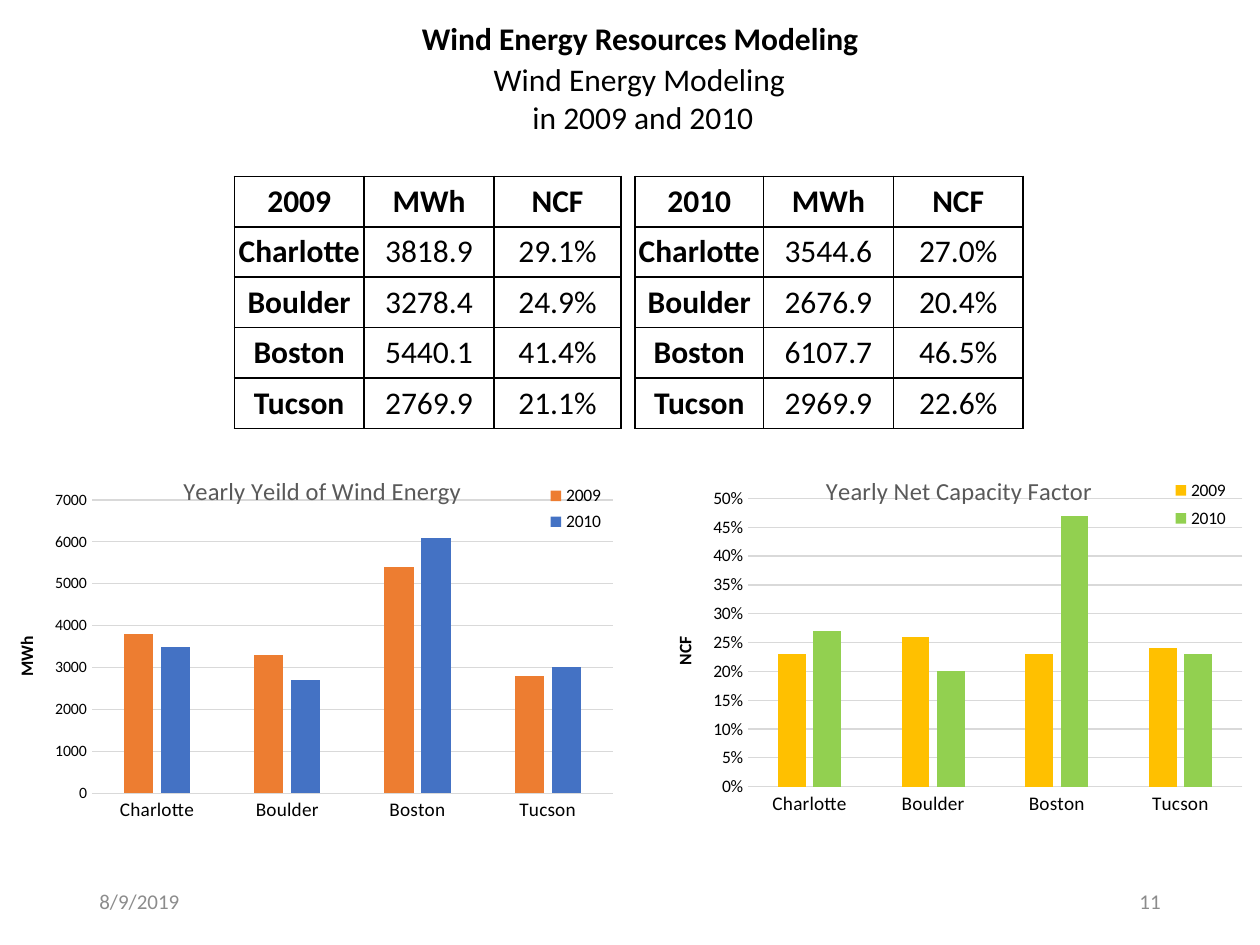
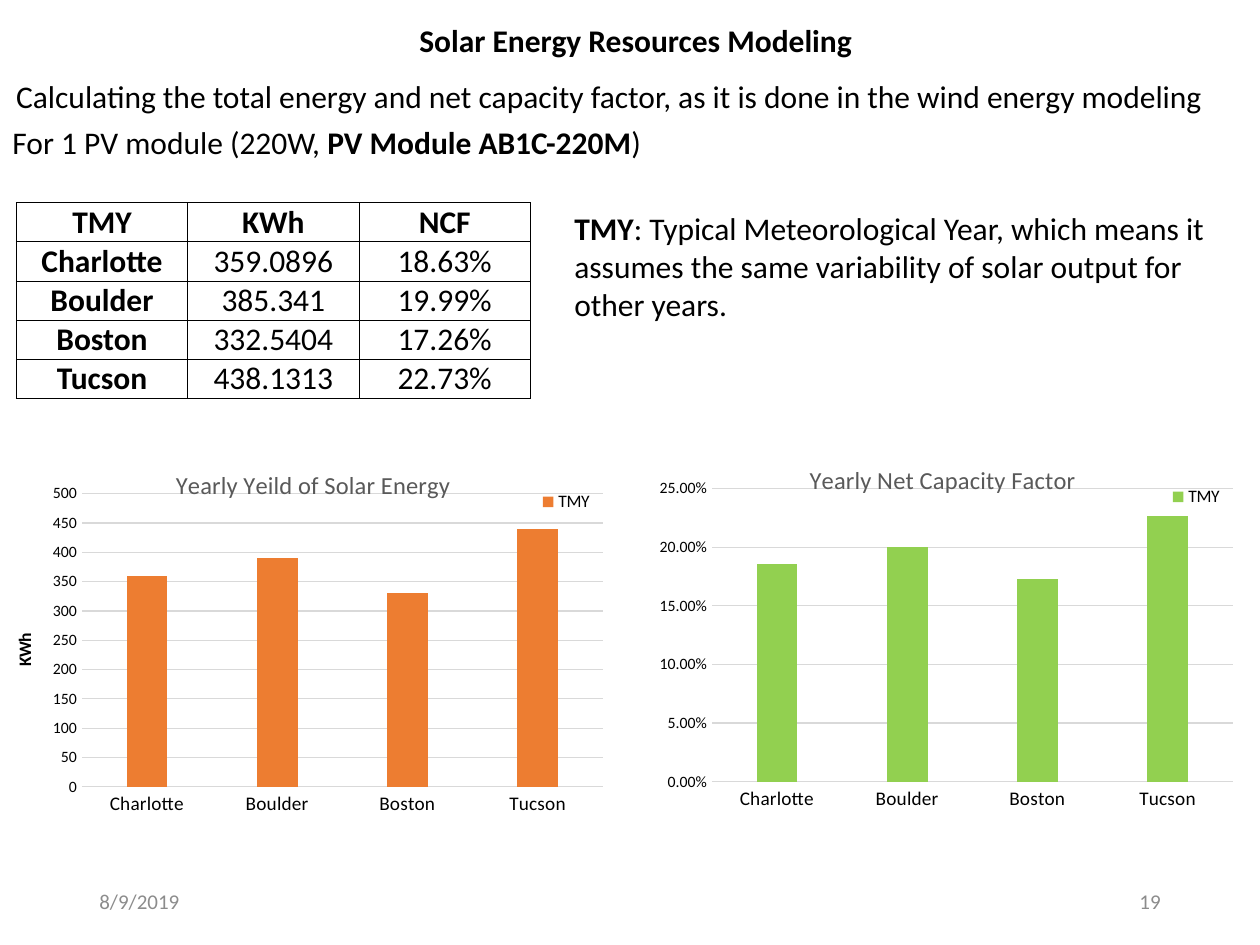
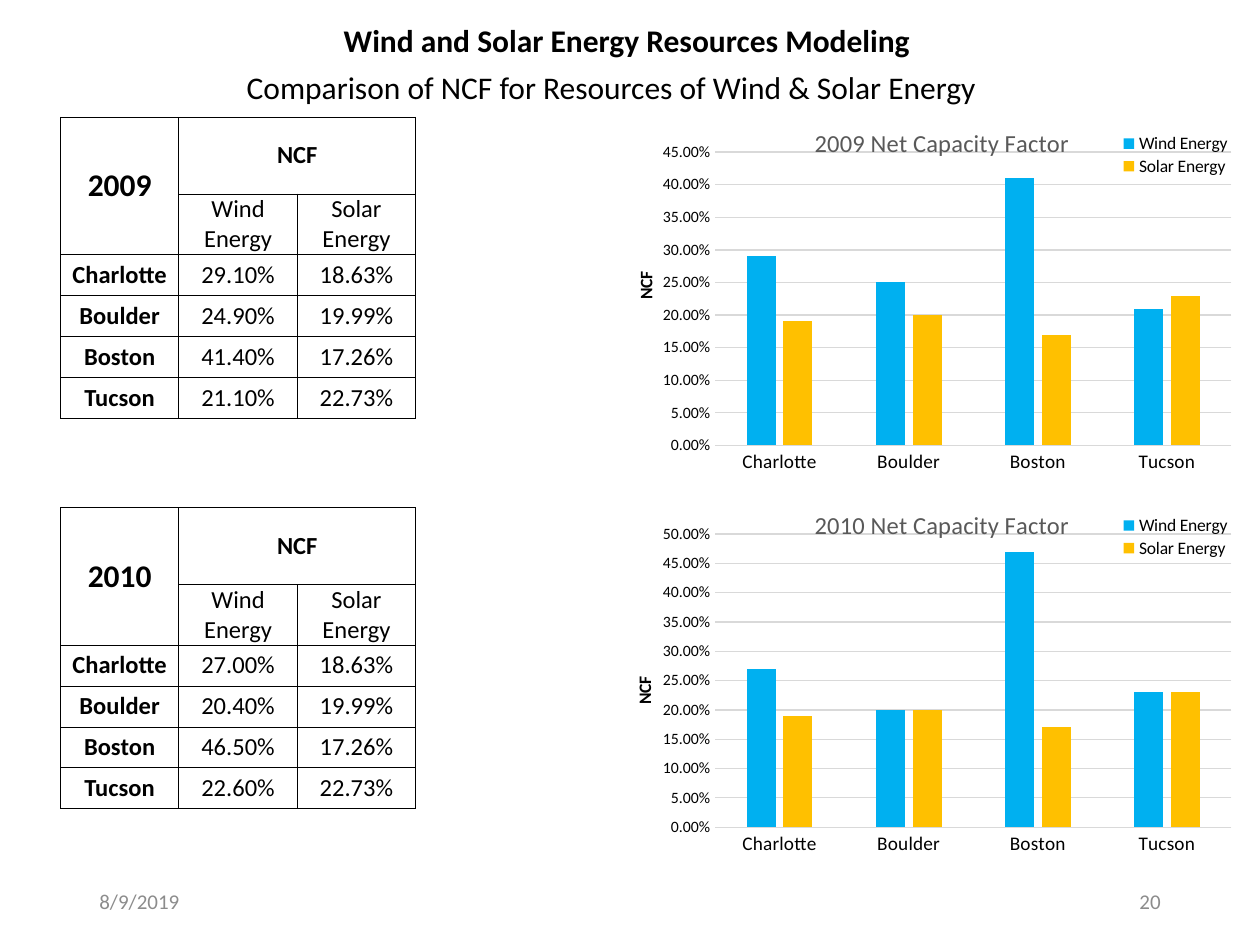
from lxml import etree
from pptx import Presentation
from pptx.chart.data import CategoryChartData
from pptx.dml.color import RGBColor
from pptx.enum import chart as ch, text as tx
from pptx.oxml import ns
from pptx.util import Inches, Pt

BLACK = RGBColor(0, 0, 0)
GREY = RGBColor(0x8C, 0x8C, 0x8C)
DARK = RGBColor(0x59, 0x59, 0x59)
PALE = RGBColor(0xD9, 0xD9, 0xD9)
ORANGE = RGBColor(0xED, 0x7D, 0x31)
BLUE = RGBColor(0x44, 0x72, 0xC4)
GOLD = RGBColor(0xFF, 0xC0, 0x00)
GREEN = RGBColor(0x92, 0xD0, 0x50)
SKY = RGBColor(0x00, 0xB0, 0xF0)
FACE = "Calibri"
LEFT, MID, RIGHT = tx.PP_ALIGN.LEFT, tx.PP_ALIGN.CENTER, tx.PP_ALIGN.RIGHT
CITIES = ["Charlotte", "Boulder", "Boston", "Tucson"]
MWH = {"2009": [3818.9, 3278.4, 5440.1, 2769.9],
       "2010": [3544.6, 2676.9, 6107.7, 2969.9]}
WIND = {"2009": [0.291, 0.249, 0.414, 0.211],
        "2010": [0.27, 0.204, 0.465, 0.226]}
KWH = [359.0896, 385.341, 332.5404, 438.1313]
SOLAR = [0.1863, 0.1999, 0.1726, 0.2273]


def style(font, size, color=BLACK, bold=False):
    font.name, font.size, font.bold = FACE, Pt(size), bold
    font.color.rgb = color


def write(para, words, size=18, color=BLACK, bold=False, align=LEFT):
    para.alignment = align
    run = para.add_run()
    run.text = words
    style(run.font, size, color, bold)


def label(slide, box, words, bold=False, wrap=False):
    frame = slide.shapes.add_textbox(*map(Inches, box)).text_frame
    frame.word_wrap = wrap
    write(frame.paragraphs[0], words, bold=bold)
    return frame


def footer(slide, number):
    for left, words, align in ((7.06, number, RIGHT), (0.69, "8/9/2019", LEFT)):
        box = slide.shapes.add_textbox(*map(Inches, (left, 6.95, 2.25, 0.4)))
        frame = box.text_frame
        frame.word_wrap = True
        frame.vertical_anchor = tx.MSO_ANCHOR.MIDDLE
        write(frame.paragraphs[0], words, 12, GREY, align=align)


def border(cell, width):
    props = cell._tc.get_or_add_tcPr()
    for spot, side in enumerate(("a:lnL", "a:lnR", "a:lnT", "a:lnB")):
        line = etree.Element(ns.qn(side), w=str(Pt(width)))
        fill = etree.SubElement(line, ns.qn("a:solidFill"))
        etree.SubElement(fill, ns.qn("a:srgbClr"), val=str(BLACK))
        props.insert(spot, line)


def grid(slide, left, top, cols, highs, rows, size=18, width=0.5, pad=0):
    box = map(Inches, (left, top, sum(cols), sum(highs)))
    table = slide.shapes.add_table(len(rows), len(cols), *box).table
    table.first_row = table.horz_banding = False
    for col, wide in zip(table.columns, cols):
        col.width = Inches(wide)
    for row, high in zip(table.rows, highs):
        row.height = Inches(high)
    for r, row in enumerate(rows):
        for c, words in enumerate(row):
            cell = table.cell(r, c)
            cell.fill.background()
            cell.vertical_anchor = tx.MSO_ANCHOR.MIDDLE
            cell.margin_left = cell.margin_right = Inches(pad)
            cell.margin_top = cell.margin_bottom = Inches(pad)
            border(cell, width)
            if words:
                big = 18 if r == c == 0 else size
                write(cell.text_frame.paragraphs[0], words, big,
                      bold=r == 0 or c == 0, align=MID)
    return table


def place(node, after, **parts):
    for old in node.findall(ns.qn("c:layout")):
        node.remove(old)
    layout = etree.Element(ns.qn("c:layout"))
    manual = etree.SubElement(layout, ns.qn("c:manualLayout"))
    if after is None:
        etree.SubElement(manual, ns.qn("c:layoutTarget"), val="inner")
    for key in "xy":
        etree.SubElement(manual, ns.qn(f"c:{key}Mode"), val="edge")
    for key, value in parts.items():
        etree.SubElement(manual, ns.qn(f"c:{key}"), val=f"{value:.3f}")
    spot = 0 if after is None else node.index(node.find(ns.qn(after))) + 1
    node.insert(spot, layout)


def bars(slide, left, top, title, series, digits, peak, step, plot, key, start,
         unit=None, form="General", size=9, shift=None):
    wide, high = 5, 3
    data = CategoryChartData()
    data.categories = CITIES
    for name, values, color in series:
        data.add_series(name, [round(value, digits) for value in values])
    chart = slide.shapes.add_chart(
        ch.XL_CHART_TYPE.COLUMN_CLUSTERED,
        *map(Inches, (left, top, wide, high)), data).chart
    style(chart.font, 10)
    write(chart.chart_title.text_frame.paragraphs[0], title, 14, DARK)
    place(chart.chart_title._element, "c:tx", x=start / wide, y=0.035)

    group = chart.plots[0]
    group.gap_width, group.overlap = 219, -27
    group.vary_by_categories = False
    for item, (name, values, color) in zip(group.series, series):
        item.format.fill.solid()
        item.format.fill.fore_color.rgb = color
    x, y, w, h = plot
    place(chart._chartSpace.chart.plotArea, None, x=x, y=y, w=w, h=h)

    for axis, points in ((chart.category_axis, 11), (chart.value_axis, size)):
        axis.major_tick_mark = axis.minor_tick_mark = ch.XL_TICK_MARK.NONE
        style(axis.tick_labels.font, points)
    line = chart.category_axis.format.line
    axis = chart.value_axis
    axis.has_major_gridlines = True
    for rule in (line, axis.major_gridlines.format.line):
        rule.color.rgb, rule.width = PALE, Pt(0.75)
    axis.format.line.fill.background()
    axis.minimum_scale, axis.maximum_scale, axis.major_unit = 0, peak, step
    axis.tick_labels.number_format = form
    axis.tick_labels.number_format_is_linked = False
    if unit:
        write(axis.axis_title.text_frame.paragraphs[0], unit, 10, bold=True)
        if shift:
            x, y = shift
            place(axis.axis_title._element, "c:tx", x=x / wide, y=y / high)

    chart.has_legend = True
    chart.legend.position = ch.XL_LEGEND_POSITION.RIGHT
    chart.legend.include_in_layout = True
    style(chart.legend.font, 10)
    x, y, w, h = key
    place(chart.legend._element, "c:legendPos",
          x=x / wide, y=y / high, w=w / wide, h=h / high)


def wind(slide):
    label(slide, (3.25, 0.1, 3.69, 0.4), "Wind Energy Resources Modeling", True)
    frame = label(slide, (3.82, 0.43, 2.54, 0.71), "Wind Energy Modeling")
    write(frame.add_paragraph(), " in 2009 and 2010", align=MID)
    for year, left, cols in (("2009", 1.86, (1.03, 1.03, 1.01)),
                             ("2010", 5.04, (1.02, 1.03, 1.03))):
        rows = [(year, "MWh", "NCF")]
        rows += [(city, f"{power:.1f}", f"{part:.1%}") for city, power, part
                 in zip(CITIES, MWH[year], WIND[year])]
        grid(slide, left, 1.4, cols, [0.4] * 5, rows, width=1, pad=0.02)
    bars(slide, 5.14, 3.62, "Yearly Net Capacity Factor ",
         [("2009", [0.23, 0.26, 0.23, 0.24], GOLD),
          ("2010", WIND["2010"], GREEN)],
         2, 0.5, 0.05, (0.159, 0.112, 0.785, 0.763), (4.11, 0.13, 0.56, 0.51),
         1.38, "NCF", "0%", 10, (0.18, 1.41))
    bars(slide, 0.09, 3.62, "Yearly Yeild of Wind Energy ",
         [("2009", MWH["2009"], ORANGE), ("2010", MWH["2010"], BLUE)],
         -2, 7000, 1000, (0.128, 0.116, 0.827, 0.776), (4.2, 0.19, 0.56, 0.46),
         1.33, "MWh")


def solar(slide):
    label(slide, (3.23, 0.12, 3.66, 0.4), "Solar Energy Resources Modeling", True)
    label(slide, (0.03, 0.56, 9.74, 0.4),
          "Calculating the total energy and net capacity factor, "
          "as it is done in the wind energy modeling")
    para = label(slide, (0, 0.93, 5.42, 0.4),
                 "For 1 PV module (220W, ").paragraphs[0]
    write(para, "PV Module AB1C-220M", bold=True)
    write(para, ")")
    note = label(slide, (4.46, 1.61, 5.31, 1.01), "TMY", True, True)
    write(note.paragraphs[0],
          ": Typical Meteorological Year, which means it assumes the same "
          "variability of solar output for other years.")
    rows = [("TMY", "KWh", "NCF")]
    rows += [(city, str(power), f"{part:.2%}")
             for city, power, part in zip(CITIES, KWH, SOLAR)]
    grid(slide, 0.13, 1.61, [1.36] * 3, [0.31] * 5, rows)
    plot, key = (0.128, 0.116, 0.827, 0.776), (4.21, 0.28, 0.55, 0.27)
    bars(slide, 0.01, 3.57, "Yearly Yeild of Solar Energy ",
         [("TMY", KWH, ORANGE)], -1, 500, 50, plot, key, 1.35, "KWh")
    bars(slide, 5.01, 3.53, "Yearly Net Capacity Factor ",
         [("TMY", SOLAR, GREEN)], 3, 0.25, 0.05, plot, key, 1.38, form="0.00%")


def both(slide):
    label(slide, (2.63, 0.12, 4.73, 0.4),
          "Wind and Solar Energy Resources Modeling", True)
    label(slide, (1.86, 0.49, 6.27, 0.4),
          "Comparison of NCF for Resources of Wind & Solar Energy")
    for year, low, top, peak, shift in (("2009", 0.93, 0.86, 0.45, (0.01, 1.27)),
                                        ("2010", 4.03, 3.89, 0.5, None)):
        rows = [(year, "NCF", ""), ("", "Wind Energy", "Solar Energy")]
        rows += [(city, f"{gust:.2%}", f"{sun:.2%}") for city, gust, sun
                 in zip(CITIES, WIND[year], SOLAR)]
        table = grid(slide, 0.48, low, [0.94] * 3, [0.61, 0.48] + [0.325] * 4,
                     rows, 14)
        table.cell(0, 0).merge(table.cell(1, 0))
        table.cell(0, 1).merge(table.cell(0, 2))
        bars(slide, 5, top, f"{year} Net Capacity Factor ",
             [("Wind Energy", WIND[year], SKY), ("Solar Energy", SOLAR, GOLD)],
             2, peak, 0.05, (0.135, 0.116, 0.82, 0.776),
             (3.79, 0.18, 1.08, 0.38), 1.43, "NCF", "0.00%", shift=shift)


def main():
    deck = Presentation()
    deck.slide_width, deck.slide_height = Inches(10), Inches(7.5)
    for build, number in ((wind, "11"), (solar, "19"), (both, "20")):
        slide = deck.slides.add_slide(deck.slide_layouts[6])
        build(slide)
        footer(slide, number)
    deck.save("out.pptx")


if __name__ == "__main__":
    main()
